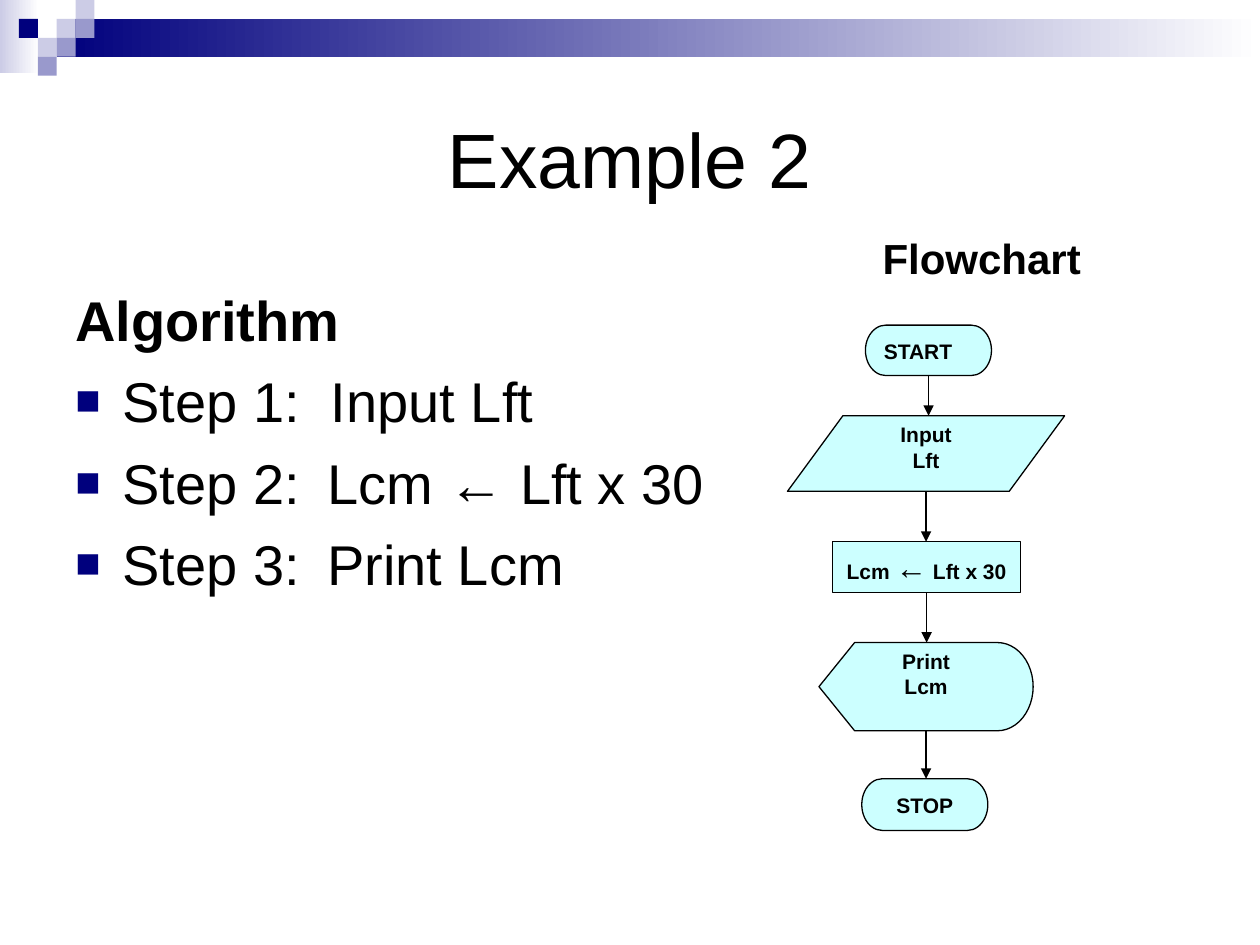
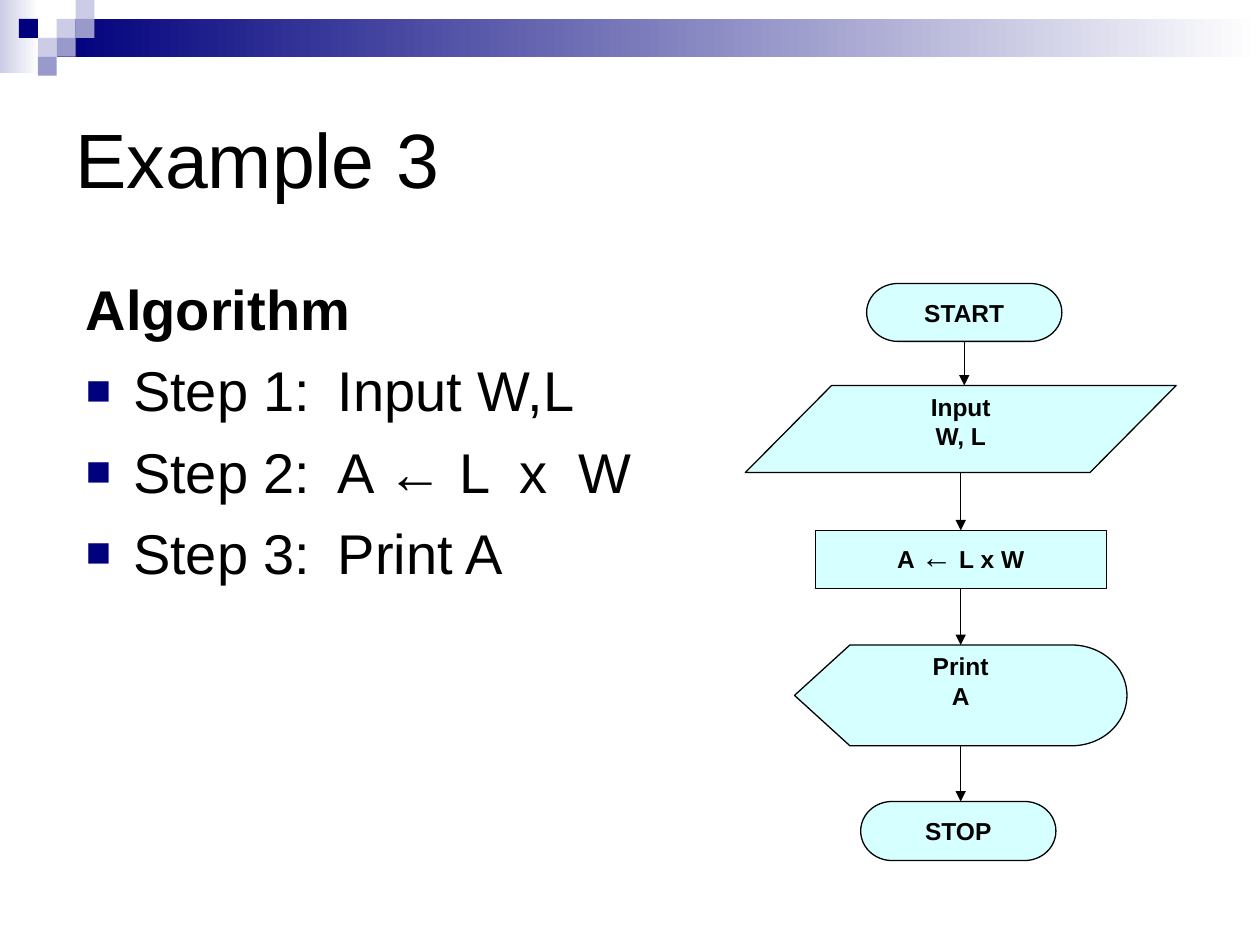
from dataclasses import dataclass

from lxml import etree
from pptx import Presentation
from pptx import util as u
from pptx.dml.color import RGBColor
from pptx.enum import shapes, text
from pptx.oxml import ns

Pt = u.Pt
KIND = shapes.MSO_SHAPE
ALIGN = text.PP_ALIGN
ANCHOR = text.MSO_ANCHOR


@dataclass(frozen=True)
class Theme:
    """Colours and type sizes of the whole deck."""
    font: str = "Arial"
    ink: RGBColor = RGBColor(0, 0, 0)
    paper: RGBColor = RGBColor(0xFF, 0xFF, 0xFF)
    navy: RGBColor = RGBColor(0, 0, 0x7D)
    lilac: RGBColor = RGBColor(0x99, 0x99, 0xCC)
    mist: RGBColor = RGBColor(0xCC, 0xCC, 0xE6)
    symbol: RGBColor = RGBColor(0xCC, 0xFF, 0xFF)
    title: int = 44
    body: int = 32
    heading: int = 24
    assign: int = 18
    hairline: float = 0.75


theme = Theme()


def write(paragraph, words, size, bold=False):
    """Add one run in the deck's font and ink."""
    run = paragraph.add_run()
    run.text = words
    run.font.name = theme.font
    run.font.size = Pt(size)
    run.font.bold = bold
    run.font.color.rgb = theme.ink


def add_xml(parent, tag, **attributes):
    """Append a DrawingML element and return it."""
    return etree.SubElement(parent, ns.qn(tag), attributes)


# Corner mosaic: column, row and colour on a square grid
TILE = 10.8
MOSAIC = [(3, 1, theme.mist), (4, 0, theme.mist), (4, 1, theme.lilac),
          (2, 2, theme.mist), (1, 1, theme.navy), (3, 2, theme.lilac),
          (2, 3, theme.lilac)]
# Fading bands: left, top, width, height, first colour
BANDS = [(0, 0, 22.3, 41.8, theme.mist),
         (3 * TILE, TILE, 720 - 3 * TILE, 2 * TILE, theme.navy)]

SYMBOLS = [KIND.FLOWCHART_TERMINATOR, KIND.FLOWCHART_DATA, KIND.FLOWCHART_PROCESS,
           KIND.FLOWCHART_DISPLAY, KIND.FLOWCHART_TERMINATOR]

# Each flow entry: lines, centre x, top, width, height
EXAMPLES = [
    dict(title="Example 2", title_align=ALIGN.CENTER, algorithm_at=(36, 156.2),
         steps=["Step 1:  Input Lft", "Step 2: \tLcm ← Lft x 30", "Step 3: \tPrint Lcm"],
         heading="Flowchart", label_size=12, opacity=100, start_align=ALIGN.LEFT,
         flow=[(["START"], 530.6, 185.8, 72, 28.8),
               (["Input", "Lft"], 529.2, 237.6, 158.4, 43.2),
               (["Lcm ← Lft x 30"], 529.5, 309.6, 107.5, 28.8),
               (["Print", "Lcm"], 529.2, 367.2, 122.4, 50.4),
               (["STOP"], 528.5, 445, 72, 29.5)]),
    dict(title="Example 3", title_align=ALIGN.LEFT, algorithm_at=(42, 150),
         steps=["Step 1: \tInput W,L", "Step 2: \tA ← L  x  W", "Step 3: \tPrint A"],
         heading=None, label_size=14, opacity=80, start_align=ALIGN.CENTER,
         flow=[(["START"], 551, 162, 111.6, 33.1),
               (["Input", "W, L"], 549, 220.3, 246.2, 49.7),
               (["A ← L x W"], 549, 303.1, 166.3, 33.1),
               (["Print", "A"], 549, 368.6, 190, 57.6),
               (["STOP"], 547.6, 458, 111.6, 33.8)]),
]

deck = Presentation()
deck.slide_width, deck.slide_height = Pt(720), Pt(540)

for example in EXAMPLES:
    slide = deck.slides.add_slide(deck.slide_layouts[6])
    canvas = slide.shapes

    for left, top, width, height, first_colour in BANDS:
        band = canvas.add_shape(KIND.RECTANGLE, Pt(left), Pt(top), Pt(width), Pt(height))
        band.shadow.inherit = False
        band.line.fill.background()
        band.fill.gradient()
        band.fill.gradient_angle = 0
        for stop, colour in zip(band.fill.gradient_stops, (first_colour, theme.paper)):
            stop.color.rgb = colour

    for column, row, colour in MOSAIC:
        tile = canvas.add_shape(KIND.RECTANGLE, Pt(column * TILE), Pt(row * TILE),
                                Pt(TILE), Pt(TILE))
        tile.shadow.inherit = False
        tile.line.fill.background()
        tile.fill.solid()
        tile.fill.fore_color.rgb = colour

    title = canvas.add_textbox(Pt(36), Pt(36), Pt(648), Pt(108)).text_frame
    title.word_wrap = True
    title.vertical_anchor = ANCHOR.MIDDLE
    title.paragraphs[0].alignment = example["title_align"]
    write(title.paragraphs[0], example["title"], theme.title)

    left, top = example["algorithm_at"]
    algorithm = canvas.add_textbox(Pt(left), Pt(top), Pt(648), Pt(306)).text_frame
    algorithm.word_wrap = True
    algorithm.margin_top = Pt(7)
    write(algorithm.paragraphs[0], "Algorithm", theme.body, bold=True)
    for step in example["steps"]:
        paragraph = algorithm.add_paragraph()
        paragraph.space_before = Pt(8)
        properties = paragraph._p.get_or_add_pPr()
        properties.set("marL", str(Pt(27)))
        properties.set("indent", str(-Pt(27)))
        add_xml(add_xml(properties, "a:buClr"), "a:srgbClr", val=str(theme.navy))
        add_xml(properties, "a:buSzPct", val="75000")
        add_xml(properties, "a:buFont", typeface=theme.font)
        add_xml(properties, "a:buChar", char="■")
        write(paragraph, step, theme.body)

    if example["heading"]:
        heading = canvas.add_textbox(Pt(474), Pt(126), Pt(174), Pt(36)).text_frame
        heading.word_wrap = True
        heading.margin_top = Pt(7)
        write(heading.paragraphs[0], example["heading"], theme.heading, bold=True)
        heading.paragraphs[0].alignment = ALIGN.CENTER

    flow = example["flow"]
    for kind, (lines, centre, top, width, height) in zip(SYMBOLS, flow):
        symbol = canvas.add_shape(kind, Pt(centre - width / 2), Pt(top), Pt(width), Pt(height))
        symbol.shadow.inherit = False
        symbol.fill.solid()
        symbol.fill.fore_color.rgb = theme.symbol
        if example["opacity"] < 100:
            tint = symbol._element.spPr.find(".//" + ns.qn("a:srgbClr"))
            add_xml(tint, "a:alpha", val=str(example["opacity"] * 1000))
        symbol.line.color.rgb = theme.ink
        symbol.line.width = Pt(theme.hairline)
        label = symbol.text_frame
        label.word_wrap = True
        label.vertical_anchor = ANCHOR.TOP
        for number, line in enumerate(lines):
            paragraph = label.add_paragraph() if number else label.paragraphs[0]
            paragraph.alignment = example["start_align"] if line == "START" else ALIGN.CENTER
            for part in filter(None, line.partition("←")):
                is_assign = part == "←"
                write(paragraph, part, theme.assign if is_assign else example["label_size"],
                      bold=not is_assign)

    for (_, centre, top, _, height), (_, _, next_top, _, _) in zip(flow, flow[1:]):
        arrow = canvas.add_connector(shapes.MSO_CONNECTOR.STRAIGHT, Pt(centre),
                                     Pt(top + height), Pt(centre), Pt(next_top))
        arrow.line.color.rgb = theme.ink
        arrow.line.width = Pt(theme.hairline)
        add_xml(arrow.line._get_or_add_ln(), "a:tailEnd", type="triangle")
        add_xml(arrow._element.spPr, "a:effectLst")

deck.save("out.pptx")
